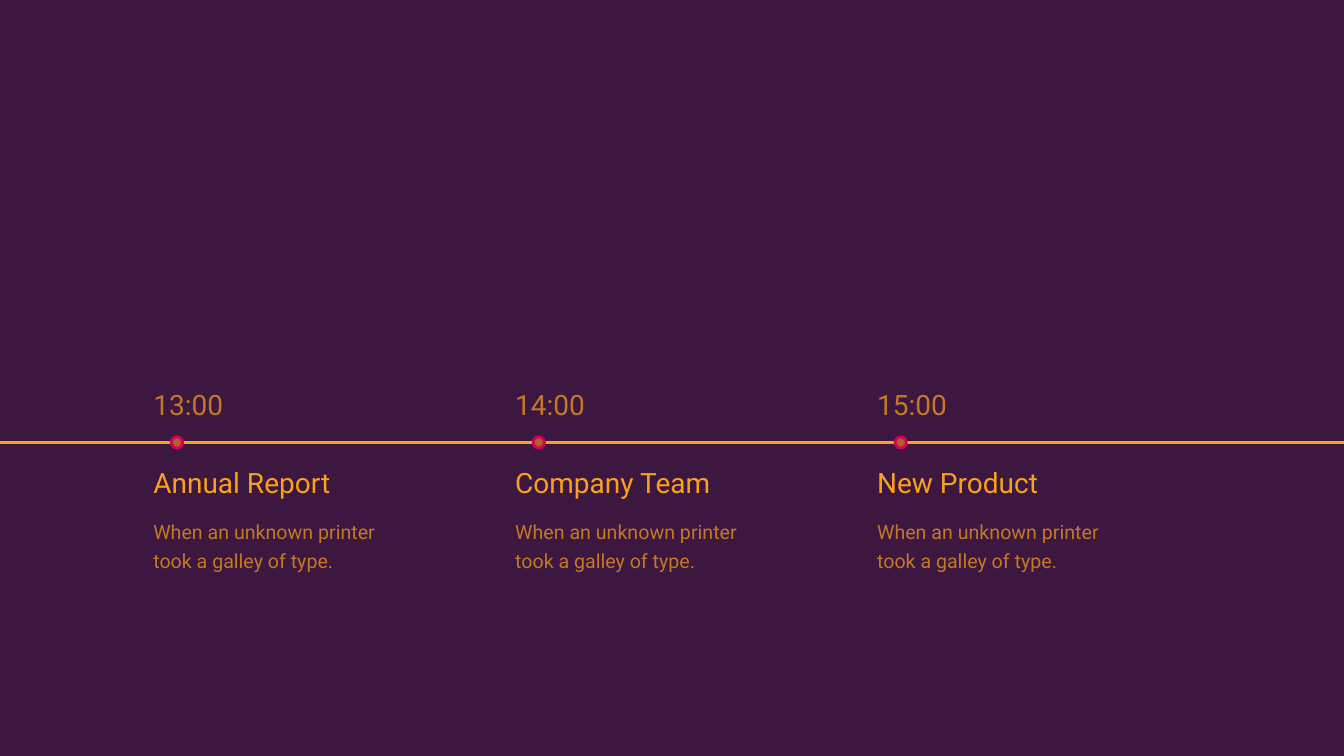
from lxml.etree import SubElement
from pptx import Presentation
from pptx.dml.color import RGBColor
from pptx.enum.shapes import MSO_CONNECTOR, MSO_SHAPE
from pptx.enum.text import MSO_AUTO_SIZE
from pptx.oxml.ns import qn
from pptx.util import Pt

BLURB = "When an unknown printer took a galley of type."
EVENTS = [
    ("13:00", "Annual Report", BLURB),
    ("14:00", "Company Team", BLURB),
    ("15:00", "New Product", BLURB),
]

PLUM = RGBColor(0x3C, 0x17, 0x40)
AMBER = RGBColor(0xF9, 0xA0, 0x1E)
OCHRE = RGBColor(0xC3, 0x78, 0x27)
BROWN = RGBColor(0xA8, 0x65, 0x2C)
PINK = RGBColor(0xD3, 0x05, 0x53)

WIDTH, HEIGHT = 960, 540
LEFT, STEP = 105.9, 258.5
AXIS = 316.1
DOT, INDENT = 8, 16.5
INSET = 3.6


def add_text(group, left, top, width, height, lines):
    box = group.shapes.add_textbox(Pt(left), Pt(top), Pt(width), Pt(height))
    frame = box.text_frame
    frame.word_wrap = True
    frame.auto_size = MSO_AUTO_SIZE.SHAPE_TO_FIT_TEXT
    frame.margin_left = frame.margin_right = Pt(INSET)
    frame.margin_top = frame.margin_bottom = Pt(INSET)
    for n, (text, size, color, leading, before) in enumerate(lines):
        para = frame.add_paragraph() if n else frame.paragraphs[0]
        para.text = text
        para.line_spacing = leading
        para.space_before = Pt(before)
        para.font.name = "Roboto"
        para.font.size = Pt(size)
        para.font.color.rgb = color


def add_dot(group, left):
    dot = group.shapes.add_shape(
        MSO_SHAPE.OVAL, Pt(left), Pt(AXIS - DOT / 2), Pt(DOT), Pt(DOT))
    dot.shadow.inherit = False
    dot.fill.solid()
    dot.fill.fore_color.rgb = BROWN
    dot.line.color.rgb = PINK
    dot.line.width = Pt(2)


def add_axis(slide):
    axis = slide.shapes.add_connector(
        MSO_CONNECTOR.STRAIGHT, Pt(WIDTH), Pt(AXIS), Pt(0), Pt(AXIS))
    axis.line.color.rgb = AMBER
    axis.line.width = Pt(2)
    SubElement(axis._element.spPr, qn("a:effectLst"))


def main():
    deck = Presentation()
    deck.slide_width, deck.slide_height = Pt(WIDTH), Pt(HEIGHT)
    slide = deck.slides.add_slide(deck.slide_layouts[6])
    slide.background.fill.solid()
    slide.background.fill.fore_color.rgb = PLUM
    add_axis(slide)
    for n, (time, title, blurb) in enumerate(EVENTS):
        left = LEFT + n * STEP
        group = slide.shapes.add_group_shape()
        add_text(group, left, 336.3, 185.8, 74.9, [
            (title, 20, AMBER, Pt(17), 0),
            (blurb, 14, OCHRE, 1.25, 10),
        ])
        add_text(group, left, 280.1, 145.4, 25.9,
                 [(time, 20, OCHRE, Pt(17), 0)])
        add_dot(group, left + INDENT)
    deck.save("out.pptx")


if __name__ == "__main__":
    main()
